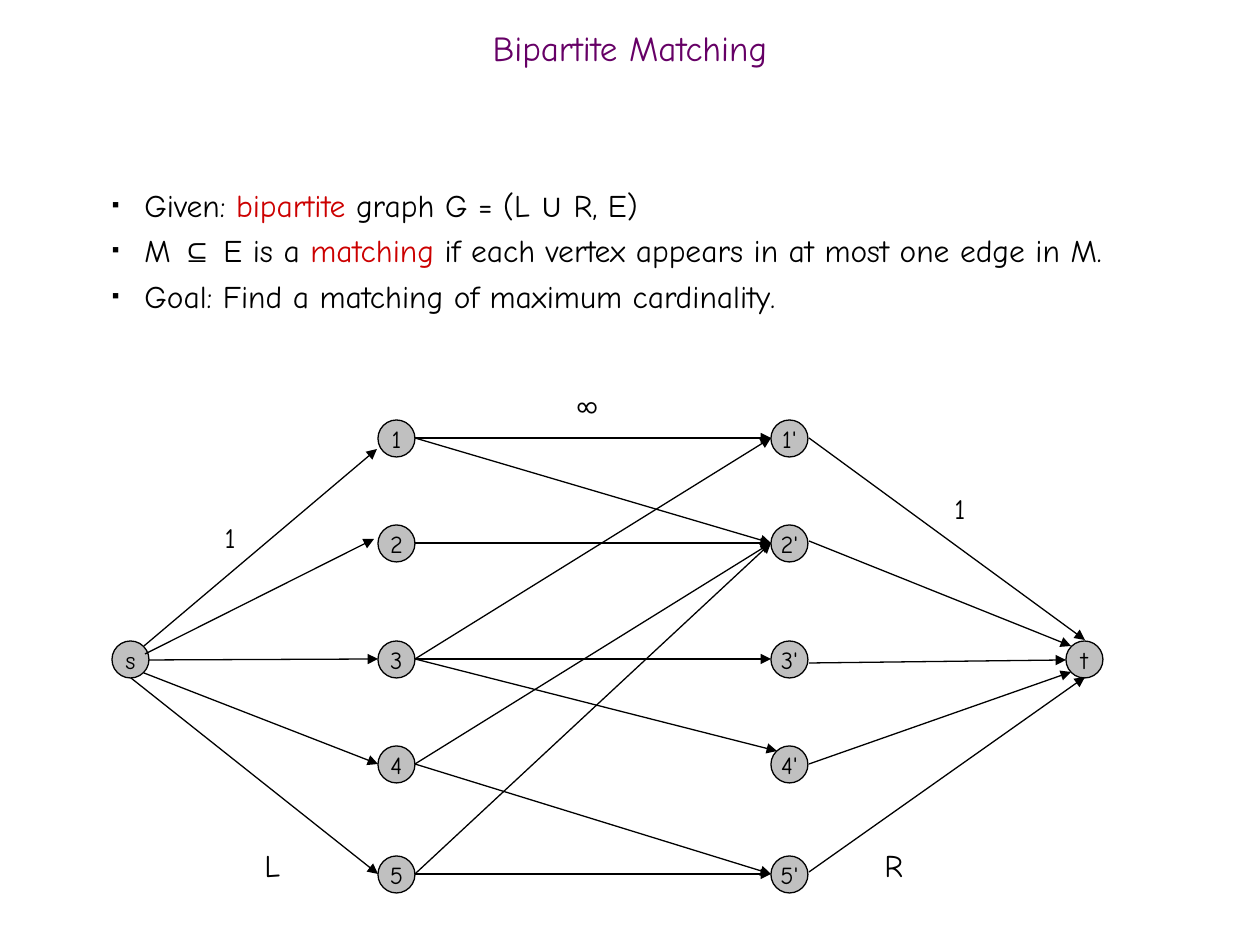
from typing import NamedTuple

from lxml.etree import SubElement
from pptx import Presentation
from pptx.dml.color import RGBColor
from pptx.enum.shapes import MSO_CONNECTOR, MSO_SHAPE
from pptx.enum.text import MSO_ANCHOR, PP_ALIGN
from pptx.oxml.ns import qn
from pptx.util import Emu, Pt

PX_PER_INCH = 126
FONT = "Comic Neue"
SYMBOL_FONT = "Arial"
BLACK, GREY, RED, PURPLE = "000000", "C0C0C0", "CC0000", "660066"
NODE_SIZE = 37


class Span(NamedTuple):
    text: str
    color: str = BLACK
    font: str = FONT


class Node(NamedTuple):
    text: str
    left: int
    center_y: int


class Edge(NamedTuple):
    x1: int
    y1: int
    x2: int
    y2: int


class Label(NamedTuple):
    text: str
    left: int
    top: int
    width: int
    height: int
    size: int
    rotation: int = 0
    wrap: bool = True


def px(value: int) -> Emu:
    return Emu(round(value * 914400 / PX_PER_INCH))


def rgb(color: str) -> RGBColor:
    return RGBColor.from_string(color)


def style(font, size: int, color: str = BLACK, name: str = FONT) -> None:
    font.size, font.name = Pt(size), name
    font.color.rgb = rgb(color)


def add_label(page, label: Label):
    box = page.shapes.add_textbox(*map(px, label[1:5]))
    box.rotation = label.rotation
    frame = box.text_frame
    frame.word_wrap = label.wrap
    frame.text = label.text
    style(frame.paragraphs[0].runs[0].font, label.size)
    return box


def add_bullet(para) -> None:
    properties = para._p.get_or_add_pPr()
    properties.set("marL", str(px(48)))
    properties.set("indent", str(px(-32)))
    color = SubElement(properties, qn("a:buClr"))
    SubElement(color, qn("a:srgbClr"), val=BLACK)
    SubElement(properties, qn("a:buSzPct"), val="35000")
    SubElement(properties, qn("a:buFont"), typeface=SYMBOL_FONT)
    SubElement(properties, qn("a:buChar"), char="■")


def add_bullets(page, lines: list[list[Span]]) -> None:
    box = page.shapes.add_textbox(px(84), px(126), px(1081), px(746))
    frame = box.text_frame
    frame.word_wrap = True
    frame.margin_top = px(52)
    for index, line in enumerate(lines):
        para = frame.add_paragraph() if index else frame.paragraphs[0]
        add_bullet(para)
        para.line_spacing = Pt(26)
        for span in line:
            run = para.add_run()
            run.text = span.text
            style(run.font, 18, span.color, span.font)


def add_node(page, node: Node) -> None:
    circle = page.shapes.add_shape(
        MSO_SHAPE.OVAL, px(node.left), px(node.center_y - NODE_SIZE // 2),
        px(NODE_SIZE), px(NODE_SIZE))
    circle.shadow.inherit = False
    circle.fill.solid()
    circle.fill.fore_color.rgb = rgb(GREY)
    circle.line.color.rgb = rgb(BLACK)
    circle.line.width = Pt(0.75)
    frame = circle.text_frame
    frame.word_wrap = False
    frame.vertical_anchor = MSO_ANCHOR.MIDDLE
    frame.text = node.text
    para = frame.paragraphs[0]
    para.alignment = PP_ALIGN.CENTER
    style(para.runs[0].font, 14)


def add_edge(page, edge: Edge) -> None:
    arrow = page.shapes.add_connector(MSO_CONNECTOR.STRAIGHT, *map(px, edge))
    arrow.line.color.rgb = rgb(BLACK)
    arrow.line.width = Pt(0.75)
    SubElement(arrow.line._get_or_add_ln(), qn("a:tailEnd"), type="triangle")
    SubElement(arrow._element.spPr, qn("a:effectLst"))


BULLETS = [
    [Span("Given: "), Span("bipartite", RED), Span(" graph G = (L "),
     Span("∪", font=SYMBOL_FONT), Span(" R, E)")],
    [Span("M "), Span("⊆", font=SYMBOL_FONT), Span(" E is a "),
     Span("matching", RED),
     Span(" if each vertex appears in at most one edge in M.")],
    [Span("Goal: Find a matching of maximum cardinality.")],
]

# Vertex columns and rows
ROWS = [438, 543, 659, 764, 874]
LEFT_X, RIGHT_X = 378, 771
LEFT_EXIT, RIGHT_EXIT = 415, 809
NODES = [Node("s", 112, 659), Node("t", 1066, 659)]
for number, row in enumerate(ROWS, start=1):
    NODES += [Node(f"{number}", LEFT_X, row), Node(f"{number}'", RIGHT_X, row)]

# Edges from L to R, by vertex number
PAIRS = [(1, 1), (1, 2), (2, 2), (3, 1), (3, 3), (4, 2), (4, 5), (5, 2), (5, 5)]
EDGES = [Edge(LEFT_EXIT, ROWS[a - 1], RIGHT_X, ROWS[b - 1]) for a, b in PAIRS]
EDGES.append(Edge(LEFT_EXIT, ROWS[2], 777, 751))

# Edges out of s and into t
EDGES += [
    Edge(144, 646, 377, 449), Edge(145, 654, 374, 539),
    Edge(149, 660, LEFT_X, ROWS[2]), Edge(144, 673, LEFT_X, ROWS[3]),
    Edge(131, 678, LEFT_X, ROWS[4]),
    Edge(RIGHT_EXIT, 438, 1085, 640), Edge(RIGHT_EXIT, 541, 1071, 646),
    Edge(RIGHT_EXIT, 663, 1066, 660), Edge(RIGHT_EXIT, 764, 1071, 672),
    Edge(RIGHT_EXIT, 872, 1085, 677),
]

# Side names and capacities; the turned 8 reads as infinity
LABELS = [
    Label("R", 872, 840, 84, 50, 18),
    Label("L", 252, 840, 84, 50, 18),
    Label("1", 217, 514, 20, 47, 16),
    Label("8", 570, 388, 32, 47, 16, rotation=270),
    Label("1", 942, 485, 37, 47, 16, wrap=False),
]


def main() -> None:
    deck = Presentation()
    deck.slide_width, deck.slide_height = px(1260), px(945)
    page = deck.slides.add_slide(deck.slide_layouts[6])

    # Title
    title = add_label(page, Label("Bipartite Matching", 0, 21, 1260, 63, 20))
    title.text_frame.vertical_anchor = MSO_ANCHOR.MIDDLE
    para = title.text_frame.paragraphs[0]
    para.alignment = PP_ALIGN.CENTER
    para.line_spacing = 0.7
    para.runs[0].font.color.rgb = rgb(PURPLE)

    add_bullets(page, BULLETS)

    # Flow network
    for node in NODES:
        add_node(page, node)
    for edge in EDGES:
        add_edge(page, edge)
    for label in LABELS:
        add_label(page, label)

    deck.save("out.pptx")


if __name__ == "__main__":
    main()
